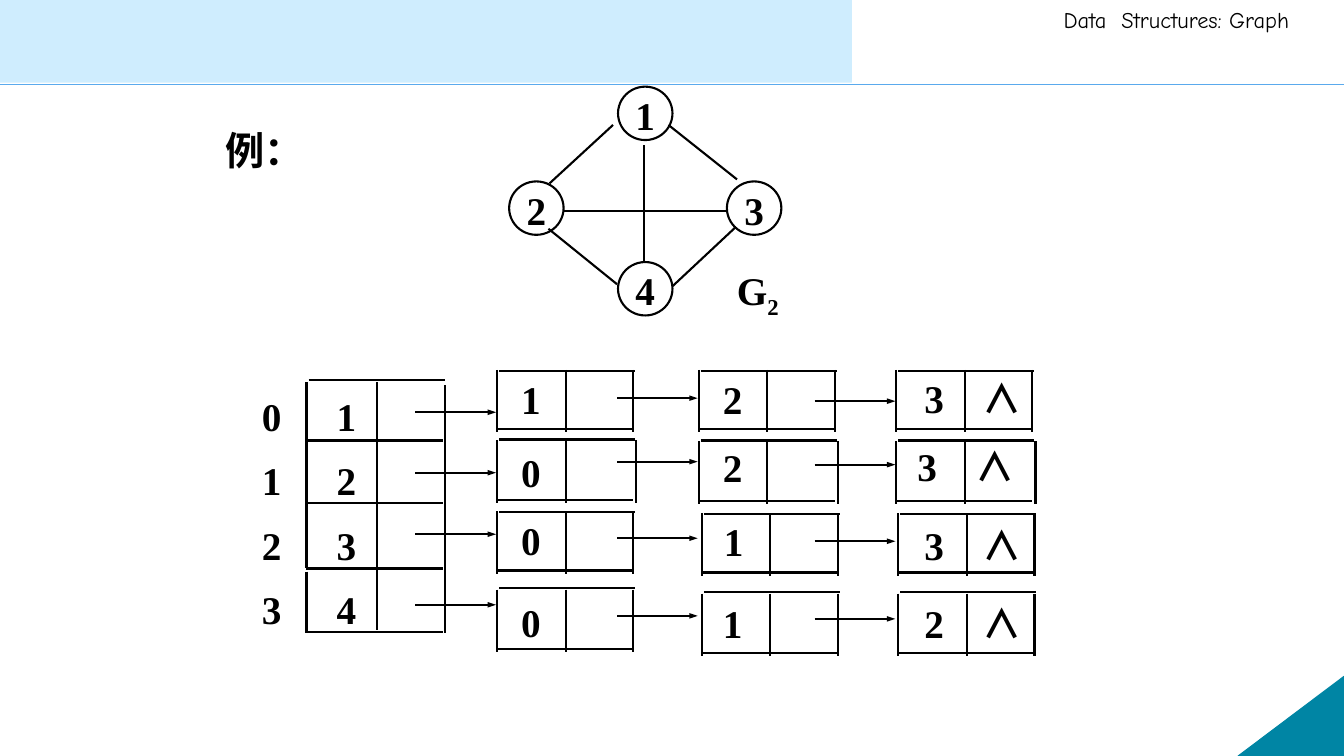
import pptx
import pptx.dml.color
import pptx.enum.shapes
import pptx.enum.text
import pptx.oxml
import pptx.oxml.ns
import pptx.util

RGBColor = pptx.dml.color.RGBColor
SHAPE = pptx.enum.shapes.MSO_SHAPE
ALIGN = pptx.enum.text.PP_ALIGN

BLACK = RGBColor(0x00, 0x00, 0x00)
WHITE = RGBColor(0xFF, 0xFF, 0xFF)
RULE_BLUE = RGBColor(0x5A, 0xAA, 0xED)
BAND_BLUE = RGBColor(0xCF, 0xED, 0xFE)
CORNER_TEAL = RGBColor(0x00, 0x85, 0xA4)
SERIF = "Times New Roman"
HAN = "Noto Sans CJK SC"
PX = 9144


def px(*lengths):
    return [pptx.util.Emu(length * PX) for length in lengths]


def append_element(parent, tag, **attributes):
    element = pptx.oxml.parse_xml(f"<a:{tag} {pptx.oxml.ns.nsdecls('a')}/>")
    for name, value in attributes.items():
        element.set(name, value)
    parent.append(element)
    return element


class Slide:
    def __init__(self, page, font=SERIF, size=28, stroke=1.5):
        self.page = page
        self.font = font
        self.size = size
        self.stroke = stroke

    def line(self, x1, y1, x2, y2, color=BLACK, weight=None, arrow=False):
        line = self.page.shapes.add_connector(
            pptx.enum.shapes.MSO_CONNECTOR.STRAIGHT, *px(x1, y1, x2, y2))
        line.line.color.rgb = color
        line.line.width = pptx.util.Pt(weight or self.stroke)
        if arrow:
            append_element(line.line._get_or_add_ln(), "tailEnd",
                           type="triangle", w="sm", len="med")
        append_element(line._element.spPr, "effectLst")

    def shape(self, kind, left, top, width, height, fill, outline=None, weight=None):
        shape = self.page.shapes.add_shape(kind, *px(left, top, width, height))
        shape.shadow.inherit = False
        shape.fill.solid()
        shape.fill.fore_color.rgb = fill
        if outline is None:
            shape.line.fill.background()
        else:
            shape.line.color.rgb = outline
            shape.line.width = pptx.util.Pt(weight or self.stroke)
        return shape

    def style(self, font, name=None, size=None, bold=True):
        font.name = name or self.font
        font.size = pptx.util.Pt(size or self.size)
        font.bold = bold
        font.color.rgb = BLACK

    def text(self, left, top, width, height, lines, gap=0, **style):
        box = self.page.shapes.add_textbox(*px(left, top, width, height))
        frame = box.text_frame
        frame.word_wrap = True
        for index, words in enumerate(lines):
            para = frame.add_paragraph() if index else frame.paragraphs[0]
            para.text = words
            if index and gap:
                para.space_before = pptx.util.Pt(gap)
            self.style(para.font, **style)
        return frame.paragraphs[0]

    def vertex(self, left, top, label):
        circle = self.shape(SHAPE.FLOWCHART_CONNECTOR, left, top, 54, 53, WHITE, BLACK)
        frame = circle.text_frame
        frame.word_wrap = False
        frame.margin_left = frame.margin_right = frame.margin_bottom = 0
        frame.margin_top, = px(3)
        frame.vertical_anchor = pptx.enum.text.MSO_ANCHOR.MIDDLE
        para = frame.paragraphs[0]
        para.text = label
        para.alignment = ALIGN.CENTER
        self.style(para.font)

    def node(self, left, top, lid, width):
        self.line(left + 2, top + lid, left + 137, top + lid)
        self.line(left, top + 59, left + 135, top + 59)
        for x in (left, left + 68, left + width):
            self.line(x, top, x, top + 62)

    def last_value(self, left, top, value):
        para = self.text(left, top, 135, 68, [])
        return para

    def tail_label(self, left, top, value):
        para = self.text(left, top, 135, 68, [""])
        para.line_spacing = pptx.util.Pt(33)
        stops = append_element(para._p.get_or_add_pPr(), "tabLst")
        append_element(stops, "tab", pos=str(58 * PX), algn="l")
        self.style(para.font)
        para.add_run().text = value + "\t"
        span = para.add_run()
        span.text = "∧"
        span.font.name = HAN
        append_element(span._r.get_or_add_rPr(), "ea", typeface=HAN)


def draw_frame(slide):
    slide.line(0, 84, 1333, 84, RULE_BLUE, 1)
    corner = slide.shape(SHAPE.RIGHT_TRIANGLE, 1228, 671, 105, 79,
                         CORNER_TEAL, CORNER_TEAL, 0.75)
    corner._element.spPr.get_or_add_xfrm().set("flipH", "1")
    slide.text(1045, 1, 288, 37, ["Data  Structures: Graph"],
               name="Comic Neue", size=16, bold=False)
    slide.shape(SHAPE.RECTANGLE, 0, 0, 845, 82, BAND_BLUE)
    slide.text(214, 120, 850, 75, ["例："], name="Calibri")


def draw_head_table(slide):
    for x, y in ((306, 377), (304, 437), (304, 499), (304, 564), (304, 627)):
        slide.line(x, y, x + 135, y)
    for x, top, bottom in ((304, 379, 564), (304, 567, 628),
                           (374, 379, 625), (441, 382, 628)):
        slide.line(x, top, x, bottom)
    for left, first in ((250, 0), (324, 1)):
        slide.text(left, 384, 75, 258, [str(first + row) for row in range(4)], gap=12.4)


def draw_lists(slide):
    rows = (
        ("123", (493, 693, 889), (367, 367, 367), 1, 135,
         (409, 395, 398), (507, 707, 907), (367, 367, 367)),
        ("023", (493, 693, 889), (437, 438, 438), -1, 138,
         (469, 458, 461), (507, 707, 900), (440, 435, 435)),
        ("013", (493, 696, 891), (507, 509, 509), 1, 135,
         (530, 534, 537), (507, 708, 907), (507, 508, 513)),
        ("012", (493, 696, 891), (585, 589, 589), -2, 135,
         (600, 611, 614), (507, 707, 907), (589, 590, 590)),
    )
    for values, lefts, tops, lid, width, arrows, label_lefts, label_tops in rows:
        for left, top in zip(lefts, tops):
            slide.node(left, top, lid, width)
        for start, y in zip((412, 612, 808), arrows):
            slide.line(start, y, start + 80, y, arrow=True)
        labels = list(zip(label_lefts, label_tops, values))
        for left, top, value in labels[:-1]:
            slide.text(left, top, 68, 67, [value])
        slide.tail_label(*labels[-1])


def draw_graph(slide):
    for left, top, label in ((721, 180, "3"), (613, 86, "1"),
                             (505, 180, "2"), (613, 260, "4")):
        slide.vertex(left, top, label)
    for edge in ((608, 124, 545, 182), (544, 227, 612, 282), (731, 178, 663, 124),
                 (730, 225, 667, 284), (559, 209, 721, 209), (639, 144, 639, 259)):
        slide.line(*edge)
    name = slide.text(721, 259, 108, 74, ["G"])
    span = name.add_run()
    span.text = "2"
    span._r.get_or_add_rPr().set("baseline", "-25000")


def main():
    deck = pptx.Presentation()
    deck.slide_width, deck.slide_height = px(1333, 750)
    slide = Slide(deck.slides.add_slide(deck.slide_layouts[6]))
    draw_frame(slide)
    draw_head_table(slide)
    draw_lists(slide)
    draw_graph(slide)
    deck.save("out.pptx")


if __name__ == "__main__":
    main()
